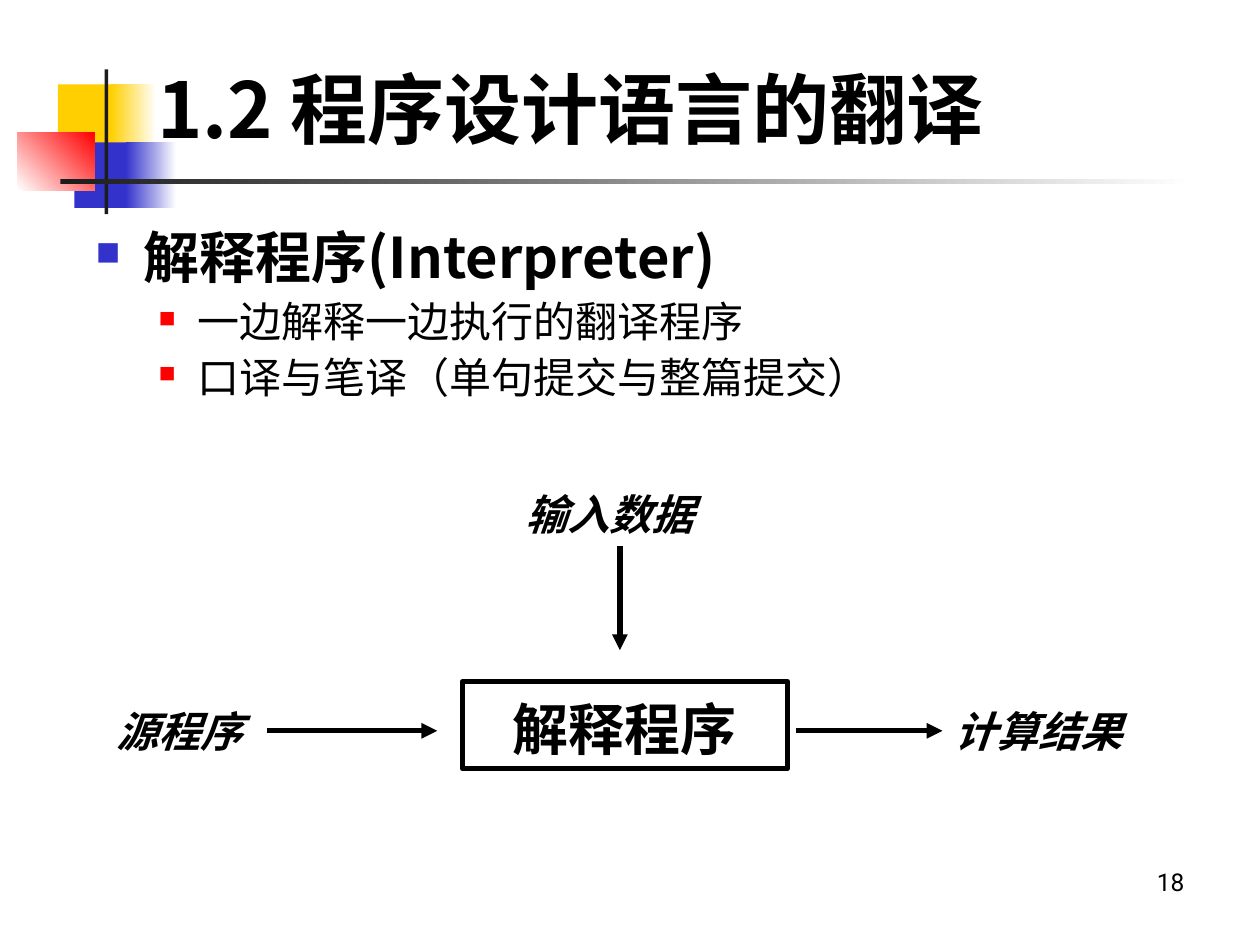
from lxml.etree import SubElement
from pptx import Presentation
from pptx.dml.color import RGBColor
from pptx.enum.shapes import MSO_CONNECTOR, MSO_SHAPE
from pptx.enum.text import MSO_ANCHOR, PP_ALIGN
from pptx.oxml.ns import qn
from pptx.util import Inches, Pt

COLORS = {"black": "000000", "white": "FFFFFF", "yellow": "FFCF01",
          "blue": "3333CC", "red": "FF0000", "dark": "1C1C1C"}
CJK, LATIN = "Noto Sans CJK SC", "Roboto"
COLS, ROWS = 100, 75  # slide grid with square cells
CELL = Inches(10) / COLS


def rgb(name):
    return RGBColor.from_string(COLORS[name])


def cells(*values):
    return [round(v * CELL) for v in values]


def add_rect(s, x, y, w, h, fill=None, fade_to=None, angle=0):
    sp = s.shapes.add_shape(MSO_SHAPE.RECTANGLE, *cells(x, y, w, h))
    sp.shadow.inherit = False
    sp.line.fill.background()
    if fade_to:
        sp.fill.gradient()
        sp.fill.gradient_angle = angle
        for stop, name in zip(sp.fill.gradient_stops, (fill, fade_to)):
            stop.color.rgb = rgb(name)
    elif fill:
        sp.fill.solid()
        sp.fill.fore_color.rgb = rgb(fill)
    else:
        sp.fill.background()
    return sp


def add_run(p, text, size, font=CJK, bold=False, italic=False):
    r = p.add_run()
    r.text = text
    r.font.size, r.font.name = Pt(size), font
    r.font.bold, r.font.italic = bold, italic
    r.font.color.rgb = rgb("black")
    SubElement(r.font._element, qn("a:ea"), typeface=font)


def add_textbox(s, x, y, w, h, wrap=True):
    tf = s.shapes.add_textbox(*cells(x, y, w, h)).text_frame
    tf.word_wrap = wrap
    return tf


def add_bullet(p, color, percent, left, hanging):
    pPr = p._p.get_or_add_pPr()
    pPr.set("marL", str(Inches(left)))
    pPr.set("indent", str(-Inches(hanging)))
    SubElement(SubElement(pPr, qn("a:buClr")), qn("a:srgbClr"), val=COLORS[color])
    SubElement(pPr, qn("a:buSzPct"), val=str(percent * 1000))
    SubElement(pPr, qn("a:buChar"), char="■")


def add_arrow(s, x1, y1, x2, y2):
    line = s.shapes.add_connector(MSO_CONNECTOR.STRAIGHT, *cells(x1, y1, x2, y2))
    line.line.color.rgb = rgb("black")
    line.line.width = Pt(3)
    SubElement(line.line._get_or_add_ln(), qn("a:tailEnd"), type="triangle")
    SubElement(line._element.spPr, qn("a:effectLst"))


def draw_ornament(s, x, y):
    # Colour blocks, each with a fading right part
    add_rect(s, x + 3.2, y + 1.2, 4.8, 5.2, "yellow")
    add_rect(s, x + 7.4, y + 1.2, 3.6, 5.2, "yellow", "white")
    add_rect(s, x + 4.5, y + 5.8, 4.6, 5.2, "blue")
    add_rect(s, x + 8.6, y + 5.8, 4, 5.2, "blue", "white")
    add_rect(s, x, y + 5, 6.1, 4.6, "white", "red", 45)
    # Crossing rules
    add_rect(s, x + 6.9, y, 0.3, 11.5, "dark")
    add_rect(s, x + 3.4, y + 8.7, 90, 0.4, "dark", "white")


def draw_title(s, x, y, w, h):
    tf = add_textbox(s, x, y, w, h)
    tf.vertical_anchor = MSO_ANCHOR.MIDDLE
    add_run(tf.paragraphs[0], "1.2 程序设计语言的翻译", 44, bold=True)


def draw_points(s, x, y, w, h):
    tf = add_textbox(s, x, y, w, h)
    p = tf.paragraphs[0]
    p.line_spacing = 0.9
    add_bullet(p, "blue", 60, 0.38, 0.38)
    add_run(p, "解释程序(Interpreter)", 32, bold=True)
    for text in ("一边解释一边执行的翻译程序", "口译与笔译（单句提交与整篇提交）"):
        p = tf.add_paragraph()
        p.level = 1
        p.line_spacing, p.space_before = 0.9, Pt(6)
        add_bullet(p, "red", 55, 0.81, 0.31)
        add_run(p, text, 24)


def draw_flow(s, x, y, w, h):
    label_h = 5
    mid = y + h - 3  # axis shared by source, interpreter and result
    side_y = mid - label_h / 2
    result_x = x + w - 16.9

    # Labels
    for text, left, top, width in (("源程序", x, side_y, 12.9),
                                   ("输入数据", x + 32.4, y, 16.8),
                                   ("计算结果", result_x, side_y, 16.9)):
        tf = add_textbox(s, left, top, width, label_h, wrap=False)
        add_run(tf.paragraphs[0], text, 24, bold=True, italic=True)

    # Arrows
    add_arrow(s, x + 12.9, mid, x + 26.4, mid)
    add_arrow(s, result_x - 11.6, mid, result_x, mid)
    add_arrow(s, x + 40.9, y + label_h, x + 40.9, y + 13.3)

    # Interpreter box
    sp = add_rect(s, x + 28.4, mid - 3.9, 25.8, 6.9)
    sp.line.color.rgb = rgb("black")
    sp.line.width = Pt(3)
    tf = sp.text_frame
    tf.vertical_anchor = MSO_ANCHOR.MIDDLE
    p = tf.paragraphs[0]
    p.alignment, p.line_spacing = PP_ALIGN.CENTER, 1.1
    add_run(p, "解释程序", 32, bold=True)


def draw_page_number(s, x, y, w, h):
    p = add_textbox(s, x, y, w, h).paragraphs[0]
    p.alignment = PP_ALIGN.RIGHT
    add_run(p, "18", 14, LATIN)


def main():
    prs = Presentation()
    prs.slide_width, prs.slide_height = cells(COLS, ROWS)
    s = prs.slides.add_slide(prs.slide_layouts[6])
    draw_ornament(s, 1.4, 5.5)
    draw_page_number(s, 71.7, 68.3, 23.3, 5.2)
    draw_title(s, 11.5, 4.4, 74.7, 8.3)
    draw_points(s, 6.6, 17.8, 92.8, 16.7)
    draw_flow(s, 8.3, 38.3, 83.4, 22.7)
    prs.save("out.pptx")


if __name__ == "__main__":
    main()
